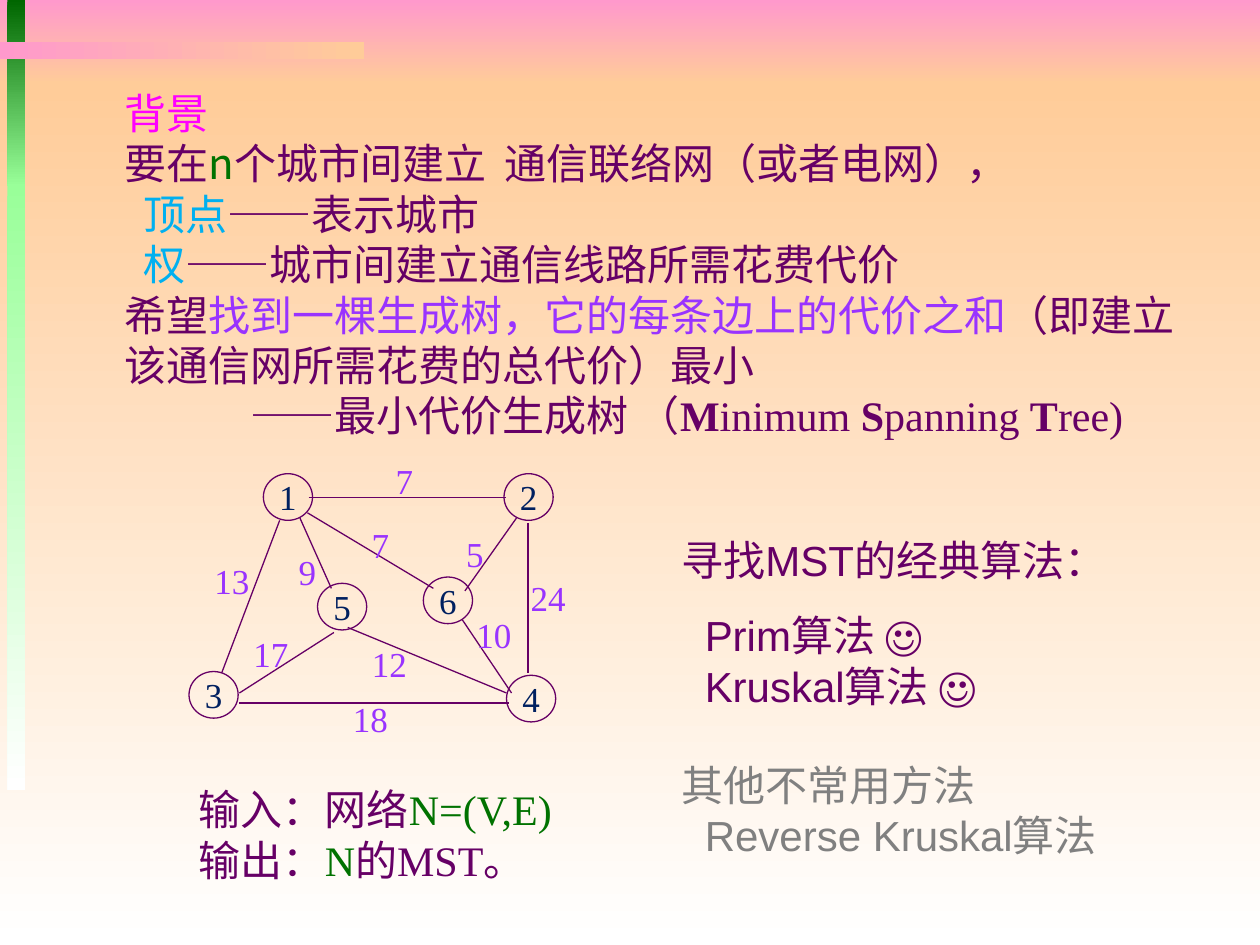
from dataclasses import dataclass
from typing import NamedTuple, Optional

from lxml.etree import SubElement
from pptx import Presentation
from pptx.dml.color import RGBColor
from pptx.enum.shapes import MSO_CONNECTOR as Connector, MSO_SHAPE as Shape
from pptx.enum.text import MSO_ANCHOR as Anchor, PP_ALIGN as Align
from pptx.oxml.ns import qn
from pptx.util import Inches, Pt

PURPLE = RGBColor(0x66, 0x00, 0x66)
VIOLET = RGBColor(0x99, 0x33, 0xFF)
MAGENTA = RGBColor(0xFF, 0x00, 0xFF)
GREEN = RGBColor(0x00, 0x72, 0x00)
SKY = RGBColor(0x00, 0xB0, 0xF0)
NAVY = RGBColor(0x00, 0x20, 0x60)
GRAY = RGBColor(0x80, 0x80, 0x80)
PINK = RGBColor(0xFF, 0x99, 0xCC)
PEACH = RGBColor(0xFF, 0xCC, 0x99)
WHITE = RGBColor(0xFF, 0xFF, 0xFF)
DARK_GREEN = RGBColor(0x00, 0x66, 0x00)
LIGHT_GREEN = RGBColor(0x99, 0xFF, 0x99)

SANS, CHINESE, SERIF = "Arial", "Noto Sans CJK SC", "Times New Roman"
COLUMNS, ROWS = 100, 75
CELL = Inches(0.1)
NODE_WIDTH, NODE_HEIGHT = 3.9, 3.7
LABEL_HEIGHT = 4.3
DOWN, RIGHT = 270, 0


class Box(NamedTuple):
    left: float
    top: float
    width: float
    height: float


class Piece(NamedTuple):
    text: str
    color: Optional[RGBColor] = None
    bold: bool = False
    font: Optional[str] = None


class Band(NamedTuple):
    box: Box
    first: RGBColor
    last: RGBColor
    angle: int


class Node(NamedTuple):
    name: str
    left: float
    top: float


class Edge(NamedTuple):
    start: tuple[float, float]
    end: tuple[float, float]
    weight: int
    label: tuple[float, float]


@dataclass
class Line:
    pieces: list[Piece]
    indent: float = 0
    color: RGBColor = PURPLE
    spacing: float = 1
    before: int = 0


BANDS = [
    Band(Box(0, 0, COLUMNS, 6.7), PINK, PEACH, DOWN),
    Band(Box(0, 6.7, COLUMNS, ROWS - 6.7), PEACH, WHITE, DOWN),
    Band(Box(0.6, 0, 1.4, 14.8), DARK_GREEN, LIGHT_GREEN, DOWN),
    Band(Box(0.6, 14.6, 1.4, 48.1), LIGHT_GREEN, WHITE, DOWN),
    Band(Box(0, 3.3, 28.9, 1.4), PINK, PEACH, RIGHT),
]
NODES = [
    Node("1", 20.9, 37.6), Node("2", 40, 37.6), Node("3", 15, 53.3),
    Node("4", 40.2, 53.6), Node("5", 25.2, 46.3), Node("6", 33.6, 45.8),
]
EDGES = [
    Edge((24.5, 39.5), (40.2, 39.5), 7, (30.4, 36)),
    Edge((22.2, 41.3), (17.6, 53.4), 13, (16, 43.9)),
    Edge((23.8, 41.1), (26.3, 46.7), 9, (22.7, 43.2)),
    Edge((19, 55.8), (40.4, 55.8), 18, (27, 54.9)),
    Edge((26.5, 50.2), (19, 55), 17, (19.1, 49.7)),
    Edge((24.4, 40.7), (34.4, 46.7), 7, (28.5, 41.1)),
    Edge((41.9, 41.5), (41.9, 53.4), 24, (41.1, 45.3)),
    Edge((41, 41.1), (36.9, 46.9), 5, (36, 41.8)),
    Edge((36.7, 49.2), (40.6, 55), 10, (36.8, 48.2)),
    Edge((27.6, 49.8), (40.2, 55), 12, (28.5, 50.5)),
]
BACKGROUND = [
    Line([Piece("背景")], color=MAGENTA),
    Line([Piece("要在"), Piece("n", GREEN), Piece("个城市间建立  通信联络网（或者电网），")]),
    Line([Piece("顶点", SKY), Piece("——表示城市")], indent=1.5),
    Line([Piece("权", SKY), Piece("——城市间建立通信线路所需花费代价")], indent=1.5),
    Line([Piece("希望"), Piece("找到一棵生成树，它的每条边上的代价之和", VIOLET), Piece("（即建立")]),
    Line([Piece("该通信网所需花费的总代价）最小")]),
    Line([Piece("——最小代价生成树 "), Piece("（", font=SERIF)]
         + [Piece(text, None, bold, SERIF) for text, bold in (
             ("M", True), ("inimum ", False), ("S", True),
             ("panning ", False), ("T", True), ("ree)", False))], indent=10),
]
ALGORITHMS = [
    Line([Piece("寻找MST的经典算法：")]),
    Line([Piece("Prim算法 ☺")], indent=1.85, spacing=1.5),
    Line([Piece("Kruskal算法 ☺")], indent=1.85),
    Line([Piece("其他不常用方法")], color=GRAY, before=28),
    Line([Piece("Reverse Kruskal算法")], indent=1.85, color=GRAY),
]
TASK = [
    Line([Piece("输入：网络"), Piece("N=(V,E)", GREEN)], indent=5),
    Line([Piece("输出："), Piece("N", GREEN), Piece("的MST。")], indent=5),
]


def grid(*cells: float) -> list[int]:
    """Turn grid positions into lengths."""
    return [round(cell * CELL) for cell in cells]


def style_font(font, name: str, size: int, color: RGBColor) -> None:
    """Set a font with the Chinese face for East Asian text."""
    font.name, font.size = name, Pt(size)
    font.color.rgb = color
    SubElement(font._element, qn("a:ea"), typeface=CHINESE)


def draw_band(slide, band: Band) -> None:
    """Draw one gradient rectangle."""
    shape = slide.shapes.add_shape(Shape.RECTANGLE, *grid(*band.box))
    shape.shadow.inherit = False
    shape.line.fill.background()
    shape.fill.gradient()
    shape.fill.gradient_angle = band.angle
    for stop, color in zip(shape.fill.gradient_stops, (band.first, band.last)):
        stop.color.rgb = color


def write_centred(shape, text: str, color: RGBColor) -> None:
    """Write a number in the middle of a shape."""
    frame = shape.text_frame
    frame.word_wrap = False
    frame.vertical_anchor = Anchor.MIDDLE
    paragraph = frame.paragraphs[0]
    paragraph.alignment = Align.CENTER
    paragraph.add_run().text = text
    style_font(paragraph.font, SERIF, 20, color)


def draw_node(slide, node: Node) -> None:
    """Draw a numbered city."""
    box = grid(node.left, node.top, NODE_WIDTH, NODE_HEIGHT)
    shape = slide.shapes.add_shape(Shape.OVAL, *box)
    shape.shadow.inherit = False
    shape.fill.background()
    shape.line.color.rgb, shape.line.width = PURPLE, Pt(0.75)
    write_centred(shape, node.name, NAVY)


def draw_edge(slide, edge: Edge) -> None:
    """Draw a link between two cities and its weight."""
    line = slide.shapes.add_connector(Connector.STRAIGHT, *grid(*edge.start, *edge.end))
    line.line.color.rgb, line.line.width = PURPLE, Pt(0.75)
    SubElement(line._element.spPr, qn("a:effectLst"))
    text = str(edge.weight)
    width = 2 + 1.4 * len(text)
    label = slide.shapes.add_textbox(*grid(*edge.label, width, LABEL_HEIGHT))
    write_centred(label, text, VIOLET)


def write_lines(slide, box: Box, lines: list[Line], font: str, anchor=Anchor.TOP) -> None:
    """Write a text box of styled lines."""
    frame = slide.shapes.add_textbox(*grid(*box)).text_frame
    frame.word_wrap = True
    frame.vertical_anchor = anchor
    for index, line in enumerate(lines):
        paragraph = frame.add_paragraph() if index else frame.paragraphs[0]
        paragraph.line_spacing, paragraph.space_before = line.spacing, Pt(line.before)
        style_font(paragraph.font, font, 24, line.color)
        paragraph._p.get_or_add_pPr().set("marL", str(grid(line.indent)[0]))
        for piece in line.pieces:
            run = paragraph.add_run()
            run.text = piece.text
            if piece.color:
                run.font.color.rgb = piece.color
            if piece.bold:
                run.font.bold = True
            if piece.font:
                run.font.name = piece.font


def main() -> None:
    """Build the slide and save it."""
    presentation = Presentation()
    presentation.slide_width, presentation.slide_height = grid(COLUMNS, ROWS)
    slide = presentation.slides.add_slide(presentation.slide_layouts[6])
    for draw, items in ((draw_band, BANDS), (draw_node, NODES), (draw_edge, EDGES)):
        for item in items:
            draw(slide, item)
    write_lines(slide, Box(8.9, 6.3, 87.8, 29.3), BACKGROUND, CHINESE, Anchor.MIDDLE)
    write_lines(slide, Box(53.1, 41.9, 37.1, 27.3), ALGORITHMS, SANS)
    write_lines(slide, Box(9.8, 61.7, 50, 9.1), TASK, SERIF)
    presentation.save("out.pptx")


if __name__ == "__main__":
    main()
